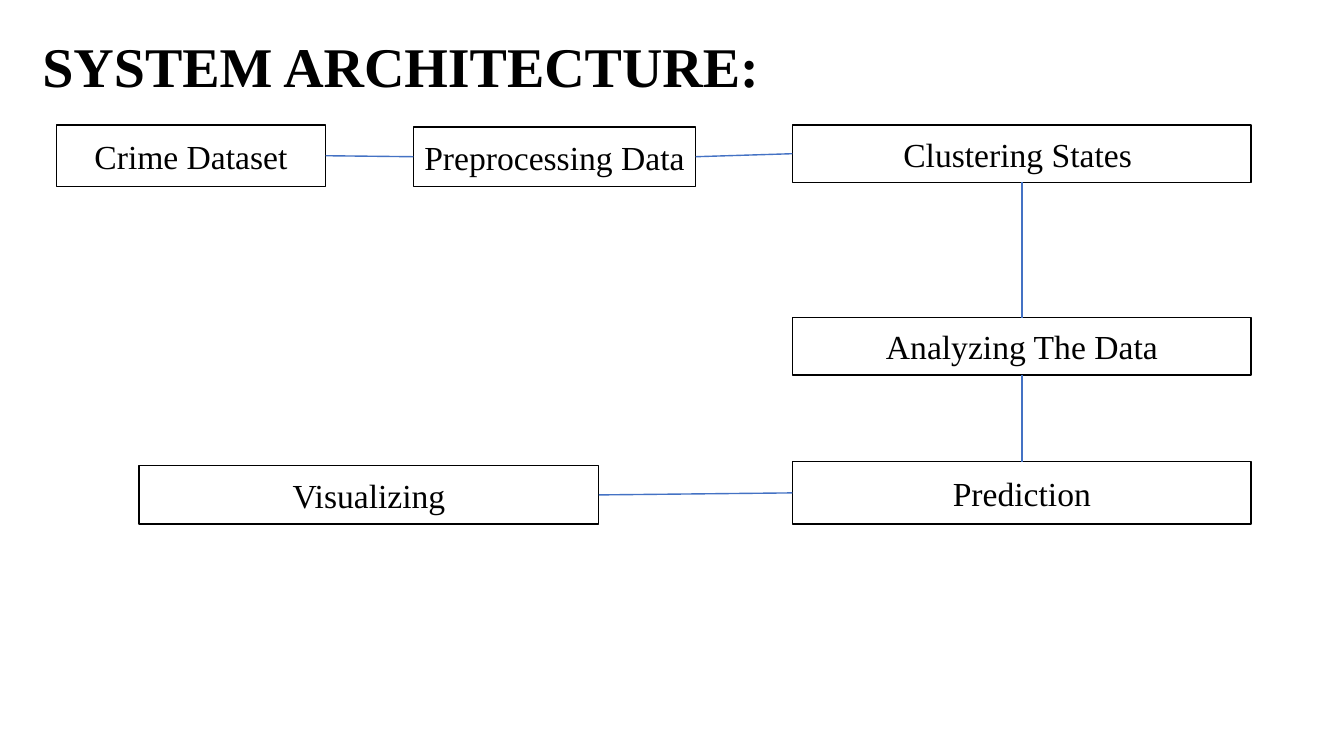
from dataclasses import dataclass

from pptx import Presentation
from pptx.dml.color import RGBColor
from pptx.enum.shapes import MSO_CONNECTOR, MSO_SHAPE
from pptx.enum.text import MSO_ANCHOR, MSO_AUTO_SIZE, PP_ALIGN
from pptx.oxml.ns import qn
from pptx.util import Inches, Pt
from lxml import etree

RECTANGLE = MSO_SHAPE.RECTANGLE
STRAIGHT = MSO_CONNECTOR.STRAIGHT
TITLE_ONLY = 5

# Connection sites of a rectangle
TOP, LEFT, BOTTOM, RIGHT = range(4)


@dataclass(frozen=True)
class Theme:
    font: str = "Times New Roman"
    ink: RGBColor = RGBColor(0x00, 0x00, 0x00)
    paper: RGBColor = RGBColor(0xFF, 0xFF, 0xFF)
    link: RGBColor = RGBColor(0x44, 0x72, 0xC4)
    title_size: Pt = Pt(40)
    step_size: Pt = Pt(24)
    line_width: Pt = Pt(1)


THEME = Theme()

# Step name: left, top, width, height in inches
STEPS = {
    "Crime Dataset": (0.56, 1.24, 2.67, 0.61),
    "Preprocessing Data": (4.1, 1.26, 2.8, 0.59),
    "Clustering States ": (7.86, 1.24, 4.55, 0.57),
    "Analyzing The Data": (7.86, 3.15, 4.55, 0.57),
    "Prediction": (7.86, 4.58, 4.55, 0.62),
    "Visualizing": (1.38, 4.62, 4.56, 0.58),
}

# Sites left and entered between each step and the next
LINKS = [(RIGHT, LEFT), (RIGHT, LEFT), (BOTTOM, TOP), (BOTTOM, TOP), (LEFT, RIGHT)]


def style_paragraph(paragraph, size, alignment, bold=False):
    paragraph.alignment = alignment
    font = paragraph.font
    font.name = THEME.font
    font.size = size
    font.bold = bold
    font.color.rgb = THEME.ink


def set_title(slide, text):
    title = slide.shapes.title
    title.left, title.top = Inches(0.32), Inches(0.26)
    title.width, title.height = Inches(11.02), Inches(0.77)
    frame = title.text_frame
    frame.text = text
    frame.word_wrap = True
    frame.auto_size = MSO_AUTO_SIZE.NONE
    frame.vertical_anchor = MSO_ANCHOR.TOP
    style_paragraph(frame.paragraphs[0], THEME.title_size, PP_ALIGN.LEFT, bold=True)


def add_step(slide, text, box):
    shape = slide.shapes.add_shape(RECTANGLE, *map(Inches, box))
    shape.shadow.inherit = False
    shape.fill.solid()
    shape.fill.fore_color.rgb = THEME.paper
    shape.line.color.rgb = THEME.ink
    shape.line.width = THEME.line_width
    frame = shape.text_frame
    frame.text = text
    frame.word_wrap = True
    frame.vertical_anchor = MSO_ANCHOR.MIDDLE
    style_paragraph(frame.paragraphs[0], THEME.step_size, PP_ALIGN.CENTER)
    return shape


def add_link(slide, source, source_site, target, target_site):
    connector = slide.shapes.add_connector(STRAIGHT, 0, 0, 0, 0)
    connector.begin_connect(source, source_site)
    connector.end_connect(target, target_site)
    connector.line.color.rgb = THEME.link
    connector.line.width = THEME.line_width
    # An empty effect list removes the shadow
    etree.SubElement(connector._element.spPr, qn("a:effectLst"))


def main():
    presentation = Presentation()
    presentation.slide_width = Inches(13.33)
    presentation.slide_height = Inches(7.5)
    slide = presentation.slides.add_slide(presentation.slide_layouts[TITLE_ONLY])

    set_title(slide, "SYSTEM ARCHITECTURE:")

    # Flow of steps, each linked to the next
    steps = [add_step(slide, text, box) for text, box in STEPS.items()]
    for source, target, (leave, enter) in zip(steps, steps[1:], LINKS):
        add_link(slide, source, leave, target, enter)

    presentation.save("out.pptx")


if __name__ == "__main__":
    main()
